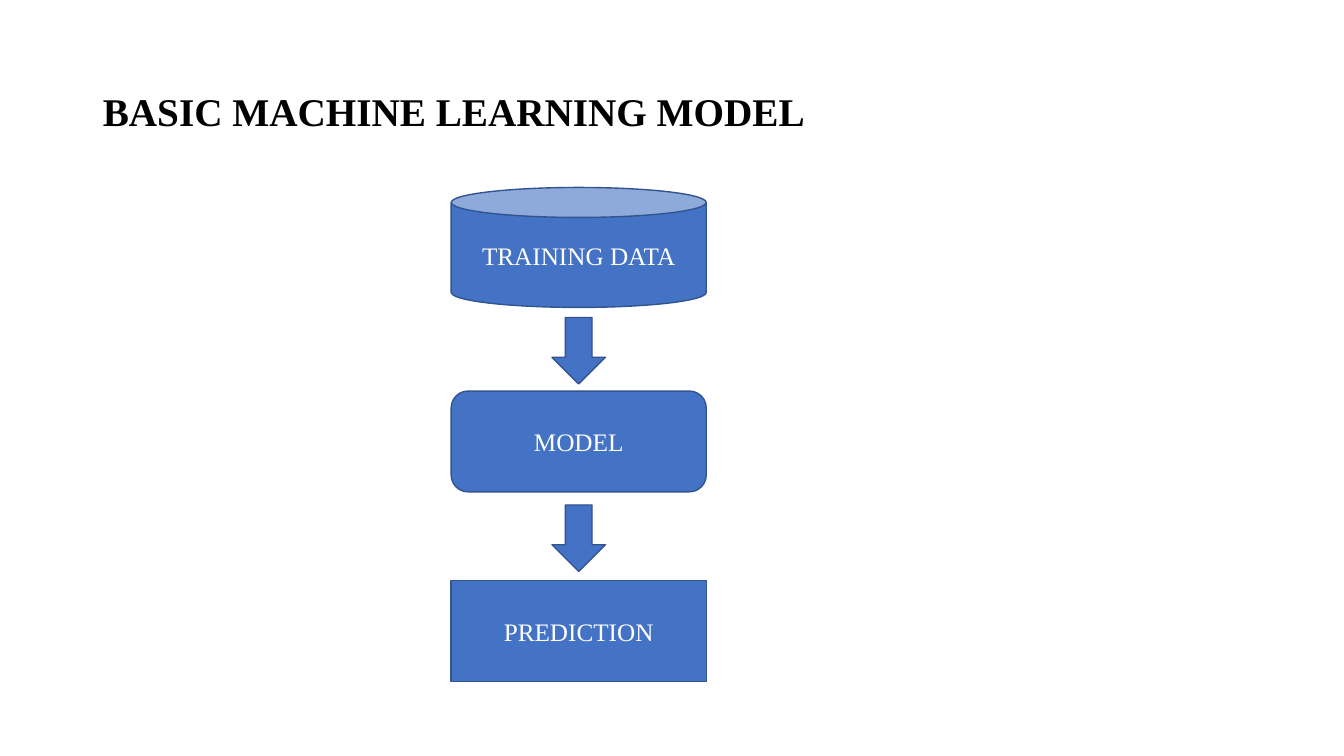
from pptx import Presentation
from pptx.dml.color import RGBColor
from pptx.enum.shapes import MSO_SHAPE
from pptx.enum.text import MSO_ANCHOR, PP_ALIGN
from pptx.util import Inches, Pt

COLORS = {"title": "000000", "fill": "4472C4", "line": "325491", "label": "FFFFFF"}


class FlowSlide:
    """Holds the style and the current slide, and adds its elements."""

    font_name = "Times New Roman"
    center = 5.74

    def __init__(self, deck):
        self.page = deck.slides.add_slide(deck.slide_layouts[5])

    def color(self, name):
        return RGBColor.from_string(COLORS[name])

    def add_text(self, box, text, color, align, **font_format):
        frame = box.text_frame
        frame.word_wrap = True
        frame.vertical_anchor = MSO_ANCHOR.MIDDLE
        para = frame.paragraphs[0]
        para.alignment = align
        span = para.add_run()
        span.text = text
        span.font.color.rgb = self.color(color)
        for name, value in {"name": self.font_name, **font_format}.items():
            setattr(span.font, name, value)
        return para

    def title(self, text, left, top, width, height):
        box = self.page.shapes.title
        place = {"left": left, "top": top, "width": width, "height": height}
        for name, value in place.items():
            setattr(box, name, Inches(value))
        para = self.add_text(box, text, "title", PP_ALIGN.LEFT, size=Pt(28), bold=True)
        para.line_spacing = 0.9

    def shape(self, kind, top, width, height):
        left = self.center - width / 2
        box = self.page.shapes.add_shape(
            kind, Inches(left), Inches(top), Inches(width), Inches(height))
        box.shadow.inherit = False
        box.fill.solid()
        box.fill.fore_color.rgb = self.color("fill")
        box.line.color.rgb = self.color("line")
        box.line.width = Pt(1)
        return box

    def stage(self, text, kind, top, height):
        box = self.shape(kind, top, 2.53, height)
        self.add_text(box, text, "label", PP_ALIGN.CENTER, size=Pt(18))

    def arrow(self, top):
        self.shape(MSO_SHAPE.DOWN_ARROW, top, 0.53, 0.66)


deck = Presentation()
deck.slide_width, deck.slide_height = Inches(13.33), Inches(7.5)
flow = FlowSlide(deck)
flow.title("BASIC MACHINE LEARNING MODEL", 0.92, 0.4, 11.5, 1.45)

STAGES = [
    ("TRAINING DATA", MSO_SHAPE.CAN, 1.86, 1.19),
    ("MODEL", MSO_SHAPE.ROUNDED_RECTANGLE, 3.88, 1),
    ("PREDICTION", MSO_SHAPE.RECTANGLE, 5.76, 1),
]
for stage in STAGES:
    flow.stage(*stage)
for arrow_top in (3.15, 5.01):
    flow.arrow(arrow_top)

deck.save("out.pptx")
